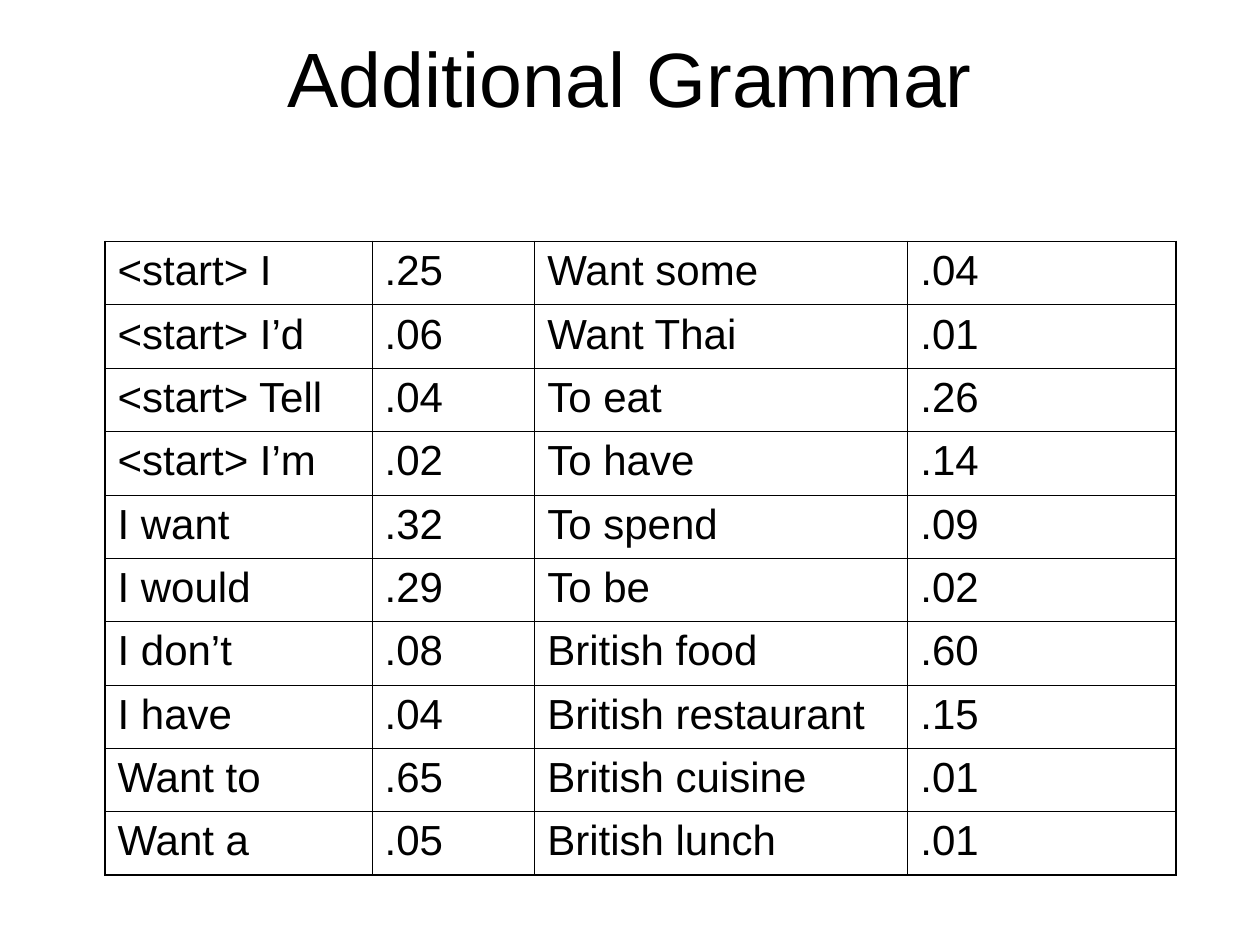
from lxml import etree
from pptx import Presentation
from pptx.dml.color import RGBColor
from pptx.enum.text import MSO_ANCHOR, MSO_AUTO_SIZE, PP_ALIGN
from pptx.oxml.ns import qn
from pptx.util import Pt

LEFT, CENTER = PP_ALIGN.LEFT, PP_ALIGN.CENTER
TOP, MIDDLE = MSO_ANCHOR.TOP, MSO_ANCHOR.MIDDLE
NO_AUTOFIT = MSO_AUTO_SIZE.NONE
TITLE_ONLY = 5

COLORS = {"text": "000000", "border": "000000"}

BIGRAMS = [
    ("<start> I", ".25", "Want some", ".04"),
    ("<start> I’d", ".06", "Want Thai", ".01"),
    ("<start> Tell", ".04", "To eat", ".26"),
    ("<start> I’m", ".02", "To have", ".14"),
    ("I want", ".32", "To spend", ".09"),
    ("I would", ".29", "To be", ".02"),
    ("I don’t", ".08", "British food", ".60"),
    ("I have", ".04", "British restaurant", ".15"),
    ("Want to", ".65", "British cuisine", ".01"),
    ("Want a", ".05", "British lunch", ".01"),
]


def write_text(frame, text, size, font, color, align=LEFT):
    paragraph = frame.paragraphs[0]
    paragraph.alignment = align
    run = paragraph.add_run()
    run.text = text
    run.font.size = Pt(size)
    run.font.name = font
    run.font.color.rgb = RGBColor.from_string(color)


class GrammarSlide:
    font = "Arial"
    title_size, cell_size = 44, 24
    outer_line, inner_line = 1.08, 0.45

    def __init__(self, deck):
        self.slide = deck.slides.add_slide(deck.slide_layouts[TITLE_ONLY])

    def title(self, text, left, top, width, height):
        title = self.slide.shapes.title
        title.left, title.top = Pt(left), Pt(top)
        title.width, title.height = Pt(width), Pt(height)
        frame = title.text_frame
        frame.auto_size = NO_AUTOFIT
        frame.vertical_anchor = MIDDLE
        write_text(frame, text, self.title_size, self.font,
                   COLORS["text"], align=CENTER)

    def table(self, rows, left, top, column_widths, row_height):
        grid = self.slide.shapes.add_table(
            len(rows), len(column_widths), Pt(left), Pt(top),
            Pt(sum(column_widths)), Pt(row_height * len(rows))).table
        grid.first_row = grid.horz_banding = False
        for column, width in zip(grid.columns, column_widths):
            column.width = Pt(width)
        last_row, last_column = len(rows) - 1, len(column_widths) - 1
        for r, row in enumerate(rows):
            for c, text in enumerate(row):
                cell = grid.cell(r, c)
                on_edge = {"lnL": c == 0, "lnR": c == last_column,
                           "lnT": r == 0, "lnB": r == last_row}
                self.borders(cell, on_edge)
                cell.fill.background()
                cell.vertical_anchor = TOP
                write_text(cell.text_frame, text, self.cell_size, self.font,
                           COLORS["text"])

    def borders(self, cell, on_edge):
        properties = cell._tc.get_or_add_tcPr()
        for side, outer in on_edge.items():
            width = Pt(self.outer_line if outer else self.inner_line)
            line = etree.SubElement(properties, qn(f"a:{side}"), w=str(width))
            fill = etree.SubElement(line, qn("a:solidFill"))
            etree.SubElement(fill, qn("a:srgbClr"), val=COLORS["border"])


def main():
    deck = Presentation()
    deck.slide_width, deck.slide_height = Pt(720), Pt(540)
    grammar = GrammarSlide(deck)

    # Heading
    grammar.title("Additional Grammar", 36, 21.6, 648, 44.64)

    # Word pairs with their probabilities
    grammar.table(BIGRAMS, left=60, top=138,
                  column_widths=[152.6, 93, 213.2, 153.2], row_height=36.2)

    deck.save("out.pptx")


if __name__ == "__main__":
    main()
